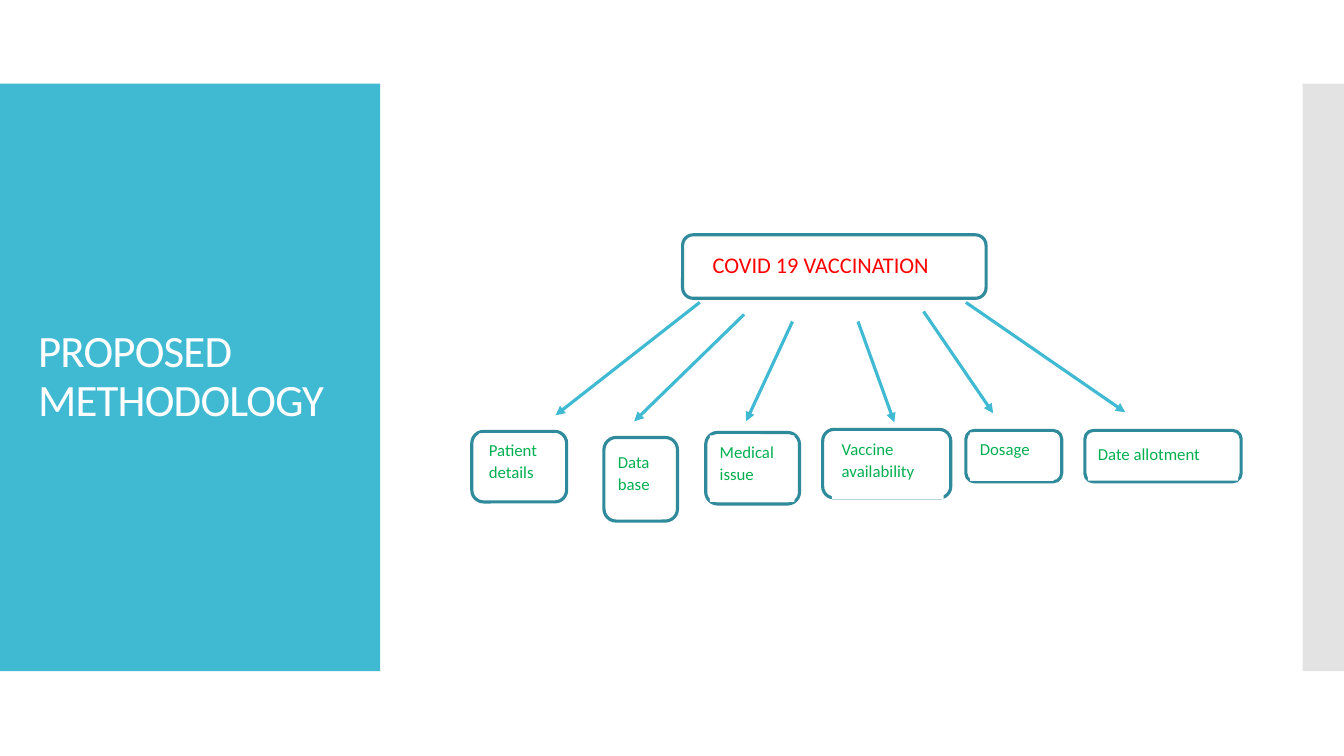
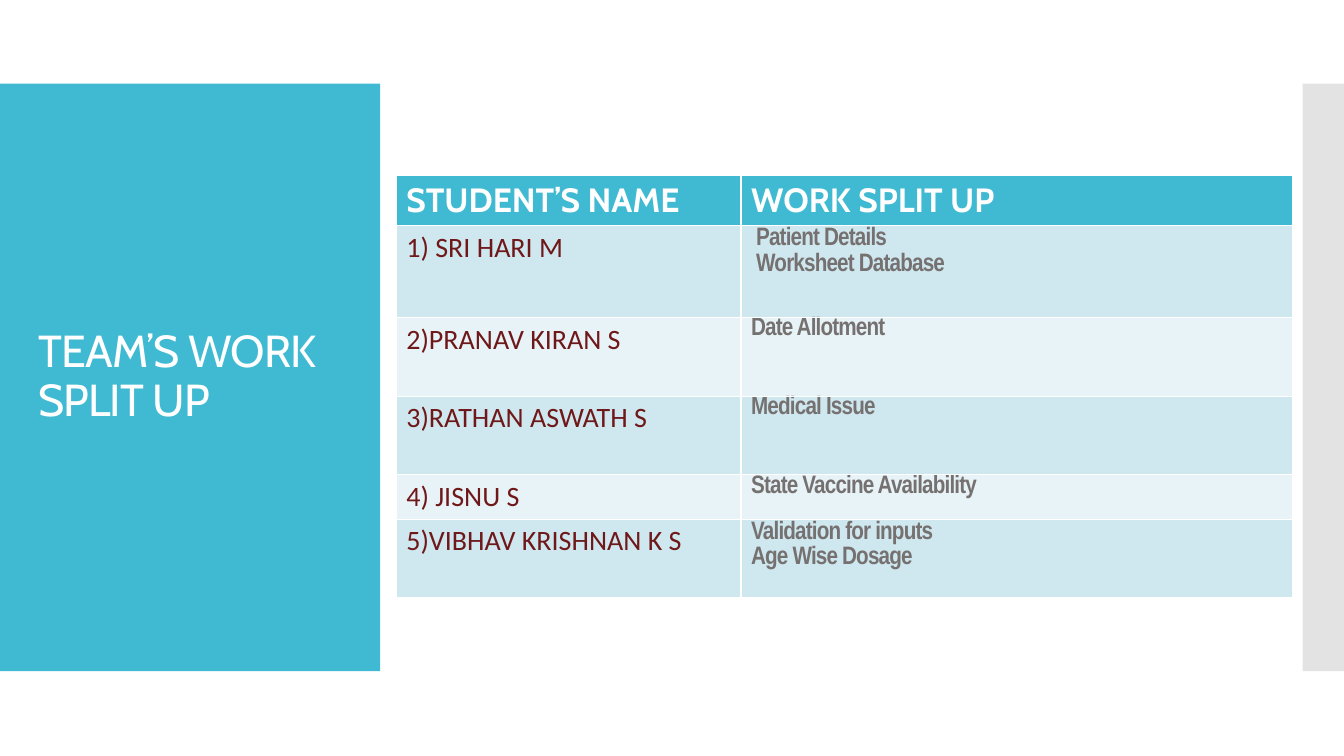
import pptx
import pptx.util
import pptx.dml.color
import pptx.enum.shapes
import pptx.enum.text
import pptx.oxml.ns
import lxml.etree

Inches = pptx.util.Inches
Pt = pptx.util.Pt
Shape = pptx.enum.shapes.MSO_SHAPE
Anchor = pptx.enum.text.MSO_ANCHOR
Align = pptx.enum.text.PP_ALIGN

TEAL = "40BAD2"
EDGE = "2F8A9B"
WHITE = "FFFFFF"
GREY = "C8C8C8"
RED = "FF0000"
GREEN = "00B050"
MAROON = "6F181A"
SLATE = "767171"
STRIPES = ["CFE7EE", "E8F3F7"]

ROOT = ("COVID 19 VACCINATION", (6.77, 2.33, 3.01, 0.63), (0.2, 0.09, 2.66, 0.43))
NODES = [
    ("Patient details", (4.68, 4.28, 0.94, 0.7), (0.07, 0.02, 0.78, 0.64)),
    ("Data base", (5.99, 4.34, 0.73, 0.83), (0.04, 0.08, 0.65, 0.69)),
    ("Medical issue", (7, 4.29, 0.93, 0.71), (0.04, 0.03, 0.84, 0.66)),
    ("Vaccine availability", (8.16, 4.26, 1.27, 0.68), (0.09, 0.03, 1.11, 0.66)),
    ("Dosage", (9.58, 4.27, 0.95, 0.51), (0.04, 0.02, 0.83, 0.48)),
    ("Date allotment", (10.76, 4.27, 1.55, 0.51), (0.03, 0.07, 1.49, 0.43)),
]
ARROWS = [
    (6.94, 3, 5.51, 4.12),
    (7.38, 3.12, 6.29, 4.18),
    (7.86, 3.19, 7.4, 4.18),
    (8.51, 3.19, 8.87, 4.19),
    (9.16, 3.09, 9.85, 4.1),
    (9.58, 3, 11.16, 4.09),
]
HEADS = ["STUDENT’S NAME", "WORK SPLIT UP"]
TEAM = [
    ("1) SRI HARI M", ["Patient Details", "Worksheet Database"], 0.91, 0.05),
    ("2)PRANAV KIRAN S", ["Date Allotment"], 0.78, 0),
    ("3)RATHAN ASWATH S", ["Medical Issue"], 0.78, 0),
    ("4) JISNU S", ["State Vaccine Availability"], 0.44, 0),
    ("5)VIBHAV KRISHNAN K S", ["Validation for inputs", "Age Wise Dosage"], 0.78, 0),
]


def color(code):
    return pptx.dml.color.RGBColor.from_string(code)


def paint(item, code):
    item.fill.solid()
    item.fill.fore_color.rgb = color(code)


def sub(node, tag, **attrs):
    return lxml.etree.SubElement(node, pptx.oxml.ns.qn(tag), **attrs)


def write(frame, lines, font, size, code, bold=False, space=None, track=None):
    frame.word_wrap = True
    for i, line in enumerate(lines):
        para = frame.paragraphs[0] if i == 0 else frame.add_paragraph()
        run = para.add_run()
        run.text = line
        para.alignment = Align.LEFT
        if space:
            para.line_spacing = space
        para.font.name = font
        para.font.size = Pt(size)
        para.font.bold = bold
        para.font.color.rgb = color(code)
        if track:
            run._r.get_or_add_rPr().set("spc", str(track))


def block(slide, kind, box, fill=None, edge=None):
    shape = slide.shapes.add_shape(kind, *map(Inches, box))
    shape.shadow.inherit = False
    if fill:
        paint(shape, fill)
    else:
        shape.fill.background()
    if edge:
        shape.line.color.rgb = color(edge)
        shape.line.width = Pt(2.25)
    else:
        shape.line.fill.background()
    return shape


def base(deck, title, font):
    slide = deck.slides.add_slide(deck.slide_layouts[6])
    block(slide, Shape.RECTANGLE, (0, 0.83, 3.77, 5.83), TEAL)
    strip = block(slide, Shape.RECTANGLE, (12.92, 0.83, 0.42, 5.83), GREY)
    tint = strip._element.spPr.find(".//" + pptx.oxml.ns.qn("a:srgbClr"))
    sub(tint, "a:alpha", val="50000")
    frame = slide.shapes.add_textbox(*map(Inches, (0.28, 1.23, 3.22, 5.03))).text_frame
    frame.vertical_anchor = Anchor.MIDDLE
    write(frame, [title], font, 32, WHITE, space=0.9, track=-60)
    return slide


def node(slide, text, box, inner, size, code):
    block(slide, Shape.ROUNDED_RECTANGLE, box, edge=EDGE)
    dx, dy, wide, high = inner
    label = block(slide, Shape.RECTANGLE, (box[0] + dx, box[1] + dy, wide, high), WHITE)
    label.text_frame.vertical_anchor = Anchor.TOP
    write(label.text_frame, [text], "Calibri", size, code, space=1.07)


def arrow(slide, ends):
    kind = pptx.enum.shapes.MSO_CONNECTOR.STRAIGHT
    line = slide.shapes.add_connector(kind, *map(Inches, ends))
    line.line.color.rgb = color(TEAL)
    line.line.width = Pt(2.25)
    sub(line.line._get_or_add_ln(), "a:tailEnd", type="triangle")
    sub(line._element.spPr, "a:effectLst")


def tree(slide):
    node(slide, *ROOT, 16, RED)
    for item in NODES:
        node(slide, *item, 12, GREEN)
    for ends in ARROWS:
        arrow(slide, ends)


def roster(slide, box):
    table = slide.shapes.add_table(len(TEAM) + 1, 2, *map(Inches, box)).table
    for col, wide in zip(table.columns, (3.42, box[2] - 3.42)):
        col.width = Inches(wide)
    table.rows[0].height = Inches(0.49)
    for i, text in enumerate(HEADS):
        cell = table.cell(0, i)
        paint(cell, TEAL)
        write(cell.text_frame, [text], "Cabin", 24, WHITE, bold=True)
    for i, (name, tasks, high, pad) in enumerate(TEAM):
        table.rows[i + 1].height = Inches(high)
        left, right = table.cell(i + 1, 0), table.cell(i + 1, 1)
        for cell in (left, right):
            paint(cell, STRIPES[i % 2])
        write(left.text_frame, [name], "Calibri", 20, MAROON)
        right.margin_top = 0
        right.margin_left = Inches(0.1 + pad)
        space = 1.07 if len(tasks) > 1 else None
        write(right.text_frame, tasks, "Arial Narrow", 18, SLATE, True, space, -60)


def main():
    deck = pptx.Presentation()
    deck.slide_width = Inches(13.33)
    deck.slide_height = Inches(7.5)
    tree(base(deck, "PROPOSED METHODOLOGY", "Calibri"))
    roster(base(deck, "TEAM’S WORK SPLIT UP", "Cabin"), (3.93, 1.74, 8.89, 4.18))
    deck.save("out.pptx")


if __name__ == "__main__":
    main()
